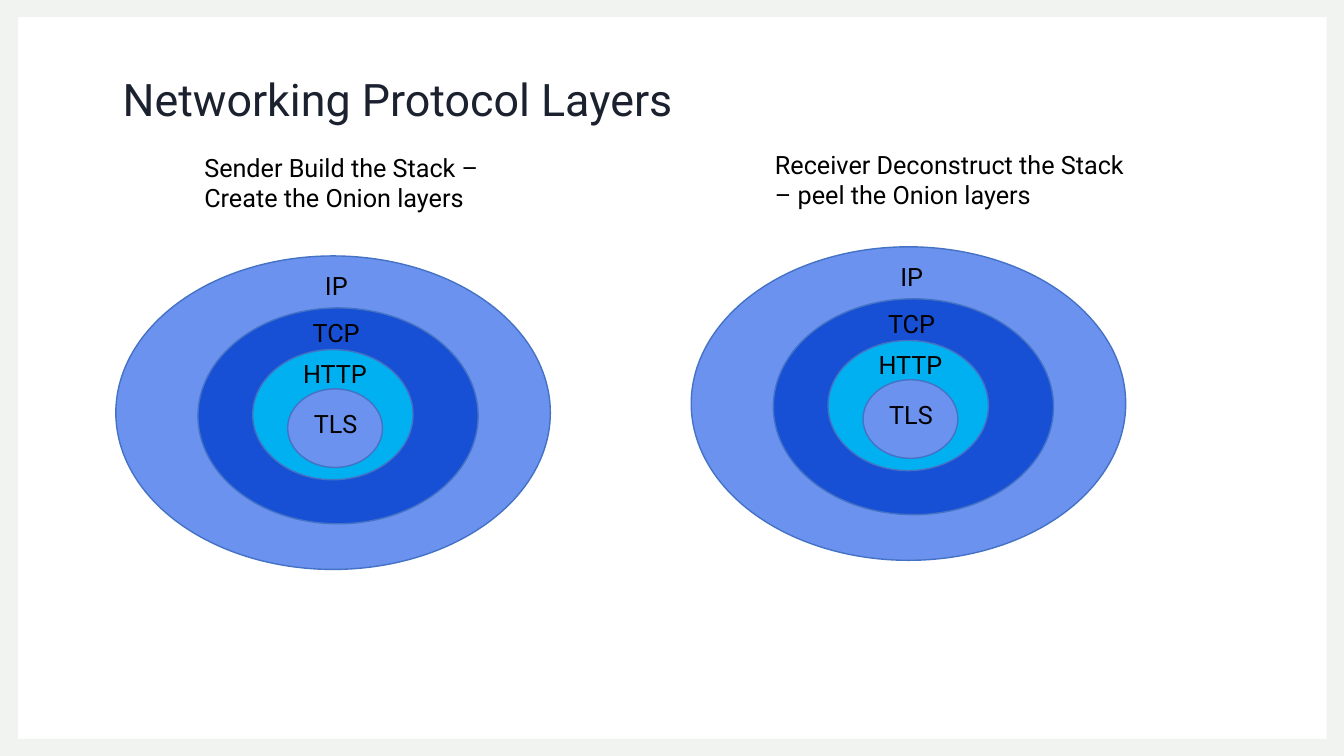
import pptx
import pptx.dml.color
import pptx.enum.shapes
import pptx.enum.text
import pptx.util

Cm = pptx.util.Cm
Pt = pptx.util.Pt
WIDE, HIGH = 33.87, 19.05


def color(code):
    return pptx.dml.color.RGBColor.from_string(code)


class Deck:
    font = "Roboto"
    ink = "000000"
    edge = "4472C4"

    def __init__(self, slide):
        self.shapes = slide.shapes

    def frame(self, left, top, right, bottom, fill):
        """Draw a border from the slide edge in to the given box."""
        inner = [(left, bottom), (right, bottom), (right, top)]
        outer = [(WIDE, 0), (WIDE, HIGH), (0, HIGH)]
        form = self.shapes.build_freeform(Cm(left), Cm(top))
        form.add_line_segments([(Cm(x), Cm(y)) for x, y in inner])
        form.move_to(0, 0)
        form.add_line_segments([(Cm(x), Cm(y)) for x, y in outer])
        shape = form.convert_to_shape()
        shape.shadow.inherit = False
        shape.fill.solid()
        shape.fill.fore_color.rgb = color(fill)
        shape.line.fill.background()

    def oval(self, x, y, wide, high, fill):
        kind = pptx.enum.shapes.MSO_SHAPE.OVAL
        shape = self.shapes.add_shape(kind, Cm(x), Cm(y), Cm(wide), Cm(high))
        shape.shadow.inherit = False
        shape.fill.solid()
        shape.fill.fore_color.rgb = color(fill)
        shape.line.color.rgb = color(self.edge)
        shape.line.width = Pt(1)

    def text(self, x, y, wide, high, lines, size=18, ink=ink):
        box = self.shapes.add_textbox(Cm(x), Cm(y), Cm(wide), Cm(high))
        box.text_frame.word_wrap = True
        para = box.text_frame.paragraphs[0]
        for i, line in enumerate(lines):
            if i:
                para.add_line_break()
            run = para.add_run()
            run.text = line
            run.font.name = self.font
            run.font.size = Pt(size)
            run.font.color.rgb = color(ink)
        return box.text_frame

    def title(self, x, y, wide, high, words):
        body = self.text(x, y, wide, high, [words], 32, "1B212F")
        body.vertical_anchor = pptx.enum.text.MSO_ANCHOR.BOTTOM
        body.paragraphs[0].line_spacing = 1.1

    def onion(self, x, y, layers):
        """Nest the layers, each offset from the corner of the onion."""
        for name, fill, ring, label in layers:
            dx, dy, wide, high = ring
            self.oval(x + dx, y + dy, wide, high, fill)
            dx, dy, wide = label
            self.text(x + dx, y + dy, wide, 1.02, [name])


# Name, fill, ring (x, y, width, height), label (x, y, width)
LAYERS = [
    ("IP", "6B92EF", (0, 0, 10.95, 7.9), (5.02, 0.23, 1.7)),
    ("TCP", "1750D5", (2.07, 1.31, 7.06, 5.44), (4.71, 1.42, 2.13)),
    ("HTTP", "00B0F0", (3.45, 2.36, 4.04, 3.28), (4.47, 2.46, 2.54)),
    ("TLS", "6B92EF", (4.33, 3.35, 2.39, 1.98), (4.74, 3.71, 1.7)),
]


def main():
    prs = pptx.Presentation()
    prs.slide_width, prs.slide_height = Cm(WIDE), Cm(HIGH)
    deck = Deck(prs.slides.add_slide(prs.slide_layouts[6]))
    deck.frame(0.46, 0.43, 33.43, 18.62, "F0F3F0")
    deck.title(2.84, 0.61, 28.14, 2.67, "Networking Protocol Layers")
    deck.text(4.9, 3.71, 7.44, 1.8,
              ["Sender Build the Stack –", "Create the Onion layers"])
    deck.text(19.28, 3.63, 9.5, 2.57,
              ["Receiver Deconstruct the Stack – peel the Onion layers"])
    deck.onion(2.92, 6.45, LAYERS)
    deck.onion(17.42, 6.22, LAYERS)
    prs.save("out.pptx")


if __name__ == "__main__":
    main()
